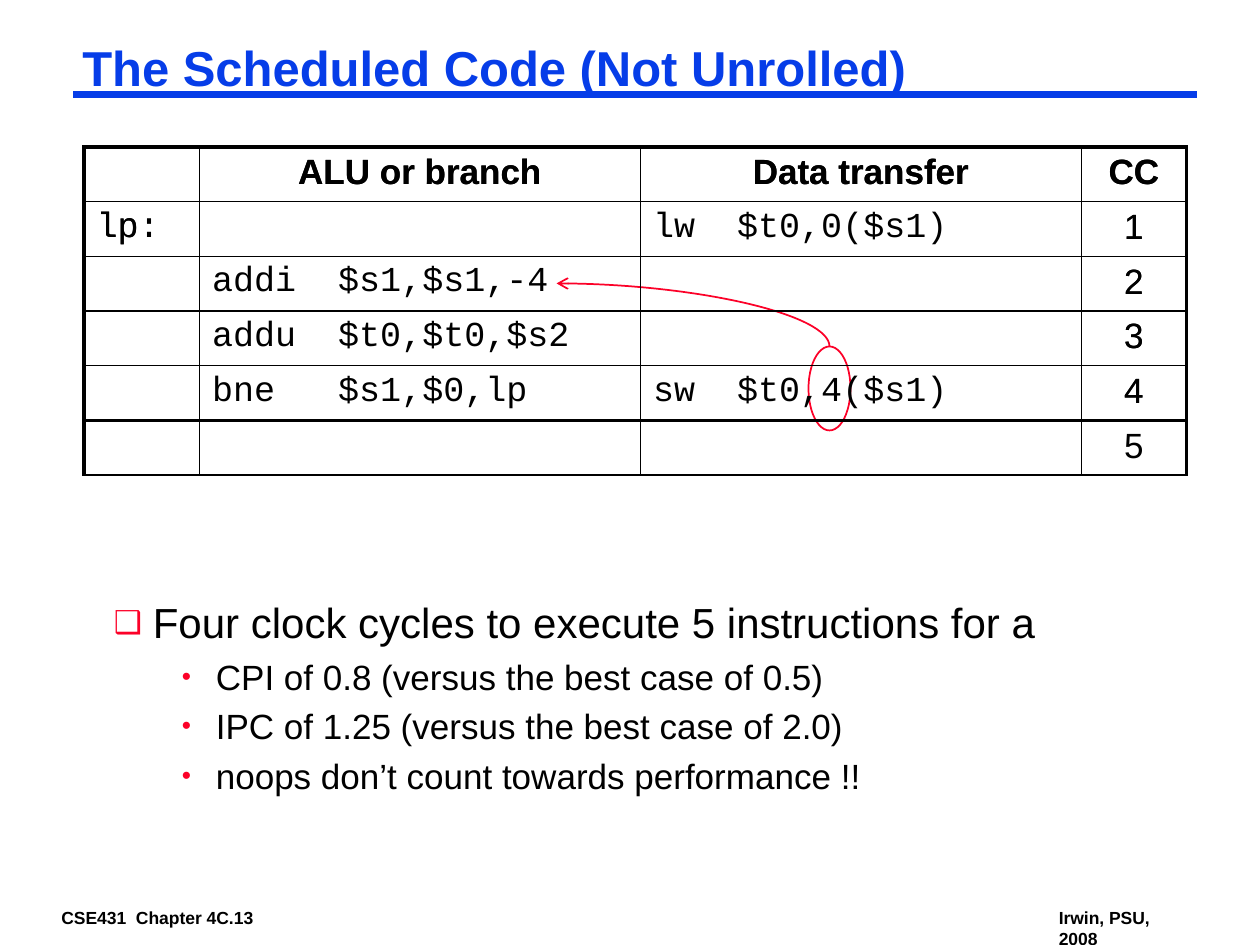
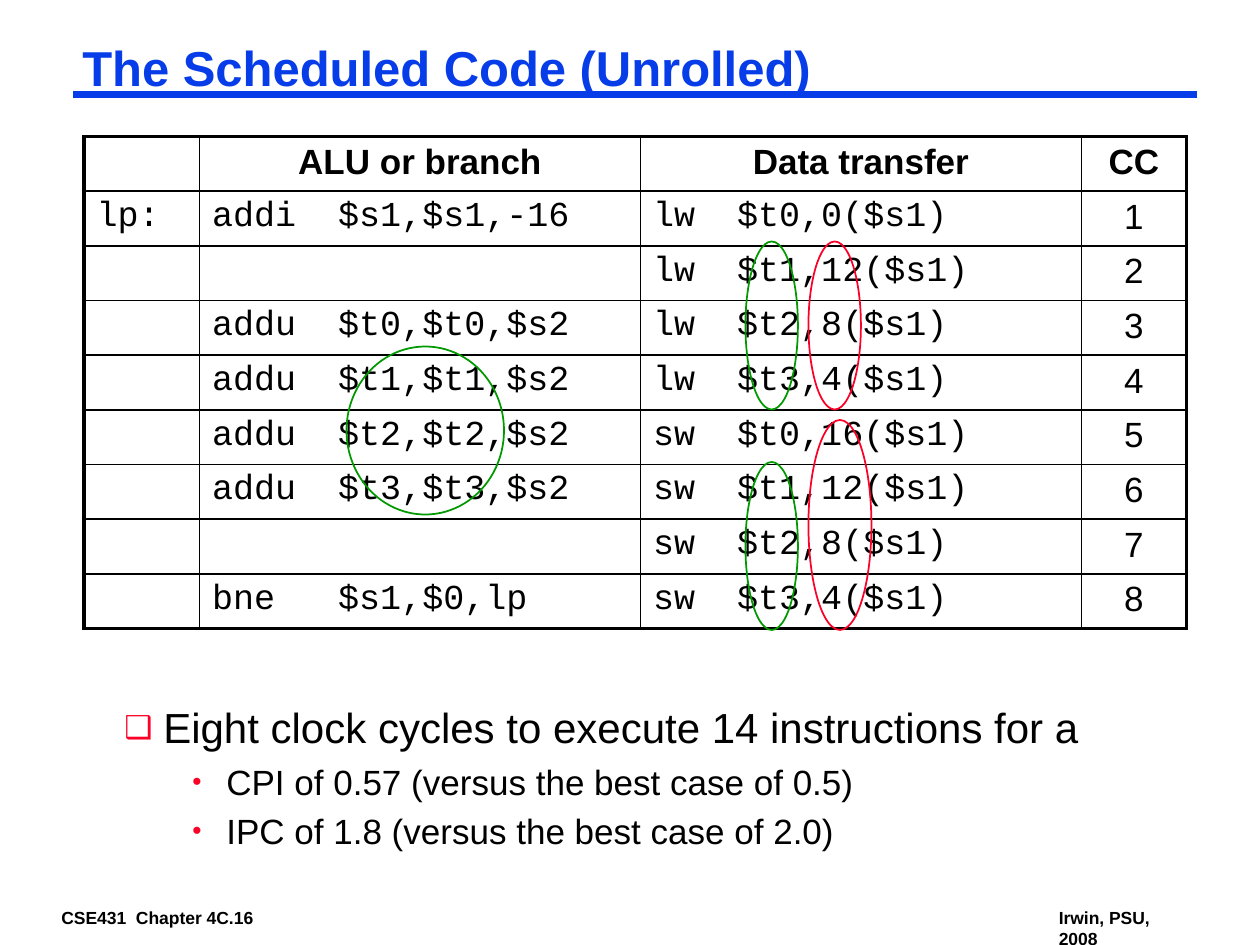
from collections import namedtuple
from dataclasses import dataclass

from lxml.etree import SubElement
from pptx import Presentation
from pptx.dml.color import RGBColor
from pptx.enum.shapes import MSO_CONNECTOR as Link, MSO_SHAPE as Shape
from pptx.enum.text import MSO_AUTO_SIZE as Fit, PP_ALIGN as Align
from pptx.oxml.ns import qn
from pptx.util import Inches, Pt

Box = namedtuple("Box", "left top width height")


@dataclass(frozen=True)
class Theme:
    blue: str = "063DE8"
    red: str = "FC0128"
    green: str = "009900"
    black: str = "000000"
    sans: str = "Arial"
    mono: str = "Courier New"
    title: int = 28
    lead: int = 24
    text: int = 20
    footer: int = 10
    rule: float = 4.5
    thick: float = 2.25
    thin: float = 1


THEME = Theme()
COLUMNS, ROWS = 120, 90  # grid of the whole slide
UNIT = Inches(10) / COLUMNS
TABLE_COLUMNS = (11, 42, 42, 10)
ROW, TALL_ROW = 4.9, 5.2
HEADINGS = ("", "ALU or branch", "Data transfer", "CC")


def grid(*cells):
    """Turn grid cells into slide lengths."""
    return [round(cell * UNIT) for cell in cells]


def add_node(parent, tag, **attributes):
    return SubElement(parent, qn(tag), {key: str(value) for key, value in attributes.items()})


def write(para, text, size=THEME.text, font=THEME.sans, color=THEME.black, bold=False,
          align=None, leading=None, before=None, bullet=None, indent=(0, 0)):
    """Fill one paragraph with text; before is a percentage of the line."""
    para.alignment = align
    if leading:
        para.line_spacing = leading
    props = para._p.get_or_add_pPr()
    if before:
        add_node(add_node(props, "a:spcBef"), "a:spcPct", val=before * 1000)
    if bullet:
        margin, hanging = indent
        props.set("marL", str(Inches(margin)))
        props.set("indent", str(-Inches(hanging)))
        add_node(add_node(props, "a:buClr"), "a:srgbClr", val=THEME.red)
        add_node(props, "a:buSzPct", val=75000)
        add_node(props, "a:buFont", typeface=THEME.sans)
        add_node(props, "a:buChar", char=bullet)
    span = para.add_run()
    span.text = text
    span.font.size, span.font.name, span.font.bold = Pt(size), font, bold
    span.font.color.rgb = RGBColor.from_string(color)


def add_text_frame(page, box):
    frame = page.shapes.add_textbox(*grid(*box)).text_frame
    frame.word_wrap, frame.auto_size = True, Fit.SHAPE_TO_FIT_TEXT
    frame.margin_left = frame.margin_right = Inches(0.07)
    frame.margin_top = frame.margin_bottom = Inches(0.03)
    return frame


def draw_line(page, kind, ends, color, width):
    line = page.shapes.add_connector(kind, *grid(*ends))
    line.line.color.rgb, line.line.width = RGBColor.from_string(color), Pt(width)
    add_node(line._element.spPr, "a:effectLst")
    return line


def draw_frame(page, title, number):
    """Footers, rule and title shared by every slide."""
    footers = ((Box(5, 86, 20.3, 2.6), f"CSE431  Chapter 4C.{number}"),
               (Box(100, 86, 14.4, 4.7), "Irwin, PSU, 2008"))
    for box, text in footers:
        write(add_text_frame(page, box).paragraphs[0], text, size=THEME.footer, bold=True)
    draw_line(page, Link.STRAIGHT, (7, 9, 114, 9), THEME.blue, THEME.rule)
    write(add_text_frame(page, Box(7, 4, 107, 5.5)).paragraphs[0], title,
          size=THEME.title, color=THEME.blue, bold=True, leading=0.87)


def draw_points(page, box, lead, points):
    """One main point with its sub-points."""
    frame = add_text_frame(page, box)
    write(frame.paragraphs[0], lead, size=THEME.lead, leading=0.9, before=65,
          bullet="❑", indent=(0.31, 0.31))
    for point in points:
        para = frame.add_paragraph()
        para.level = 1
        write(para, point, leading=0.85, before=40, bullet="•", indent=(0.81, 0.27))


def draw_borders(cell, widths):
    props = cell._tc.get_or_add_tcPr()
    for side, width in zip("LRTB", widths):
        edge = add_node(props, f"a:ln{side}", w=Pt(width))
        add_node(add_node(edge, "a:solidFill"), "a:srgbClr", val=THEME.black)
    cell.fill.background()


def draw_schedule(page, left, top, code, heights, bottom=THEME.thick):
    """Issue slots by clock cycle: code holds (ALU, transfer) pairs."""
    lines = [HEADINGS] + [("lp:" if cycle == 1 else "", alu, transfer, str(cycle))
                          for cycle, (alu, transfer) in enumerate(code, 1)]
    box = Box(left, top, sum(TABLE_COLUMNS), sum(heights))
    table = page.shapes.add_table(len(lines), len(HEADINGS), *grid(*box)).table
    table.first_row = table.horz_banding = False
    for column, width in zip(table.columns, grid(*TABLE_COLUMNS)):
        column.width = width
    for row, height in zip(table.rows, grid(*heights)):
        row.height = height
    last_row, last_column = len(lines) - 1, len(HEADINGS) - 1
    for r, line in enumerate(lines):
        for c, text in enumerate(line):
            cell = table.cell(r, c)
            draw_borders(cell, (THEME.thick if c == 0 else THEME.thin,
                                THEME.thick if c == last_column else THEME.thin,
                                THEME.thick if r == 0 else THEME.thin,
                                bottom if r == last_row else THEME.thin))
            if text:
                plain = r == 0 or c == last_column
                write(cell.text_frame.paragraphs[0], text, bold=r == 0, before=30,
                      font=THEME.sans if plain else THEME.mono,
                      align=Align.CENTER if plain else None)


def draw_ring(page, box, color):
    """Ellipse around operands."""
    ring = page.shapes.add_shape(Shape.OVAL, *grid(*box))
    ring.shadow.inherit = False
    ring.fill.background()
    ring.line.color.rgb, ring.line.width = RGBColor.from_string(color), Pt(THEME.thin)


def draw_curved_arrow(page, start, end):
    """Quarter curve that leaves start upwards and reaches end leftwards."""
    (x1, y1), (x2, y2) = start, end
    middle_x, middle_y = (x1 + x2) / 2, (y1 + y2) / 2
    half_width, half_height = abs(y1 - y2) / 2, abs(x1 - x2) / 2  # turned by 270 degrees
    curve = draw_line(page, Link.CURVE, (middle_x - half_width, middle_y - half_height,
                                         middle_x + half_width, middle_y + half_height),
                      THEME.red, THEME.thin)
    props = curve._element.spPr
    props.find(qn("a:prstGeom")).set("prst", "curvedConnector2")
    turn = props.find(qn("a:xfrm"))
    turn.set("rot", str(270 * 60000))
    turn.set("flipV", "1")
    add_node(props.find(qn("a:ln")), "a:tailEnd", type="arrow")


def build_not_unrolled(page):
    draw_frame(page, "The Scheduled Code (Not Unrolled)", 13)
    draw_points(page, Box(10, 57, 101, 21.1),
                "Four clock cycles to execute 5 instructions for a",
                ("CPI of 0.8 (versus the best case of 0.5)",
                 "IPC of 1.25 (versus the best case of 2.0)",
                 "noops don’t count towards performance !!"))
    # Offset that depends on the moved addi
    draw_ring(page, Box(77, 33, 4, 8), THEME.red)
    draw_curved_arrow(page, (79, 33), (53, 27))
    # Schedule, over an empty five-cycle form
    code = (("", "lw  $t0,0($s1)"),
            ("addi  $s1,$s1,-4", ""),
            ("addu  $t0,$t0,$s2", ""),
            ("bne   $s1,$0,lp", "sw  $t0,4($s1)"))
    draw_schedule(page, 8, 14, code, [ROW] * 5)
    draw_schedule(page, 8, 14, [("", "")] * 5, [ROW] * 6, bottom=THEME.thin)


def build_unrolled(page):
    draw_frame(page, "The Scheduled Code (Unrolled)", 16)
    draw_points(page, Box(11, 67, 101, 15.8),
                "Eight clock cycles to execute 14 instructions for a",
                ("CPI of 0.57 (versus the best case of 0.5)",
                 "IPC of 1.8 (versus the best case of 2.0)"))
    code = (("addi  $s1,$s1,-16", "lw  $t0,0($s1)"),
            ("", "lw  $t1,12($s1)"),
            ("addu  $t0,$t0,$s2", "lw  $t2,8($s1)"),
            ("addu  $t1,$t1,$s2", "lw  $t3,4($s1)"),
            ("addu  $t2,$t2,$s2", "sw  $t0,16($s1)"),
            ("addu  $t3,$t3,$s2", "sw  $t1,12($s1)"),
            ("", "sw  $t2,8($s1)"),
            ("bne   $s1,$0,lp", "sw  $t3,4($s1)"))
    draw_schedule(page, 8, 13, code, [ROW] * 4 + [TALL_ROW] * 4 + [ROW])
    # Offsets in red, renamed registers in green
    for box, color in ((Box(77, 23, 5, 16), THEME.red),
                       (Box(71, 23, 5, 16), THEME.green),
                       (Box(71, 44, 5, 16), THEME.green),
                       (Box(77, 40, 6, 20), THEME.red),
                       (Box(33, 33, 15, 16), THEME.green)):
        draw_ring(page, box, color)


deck = Presentation()
deck.slide_width, deck.slide_height = grid(COLUMNS, ROWS)
for build in (build_not_unrolled, build_unrolled):
    build(deck.slides.add_slide(deck.slide_layouts[6]))
deck.save("out.pptx")
